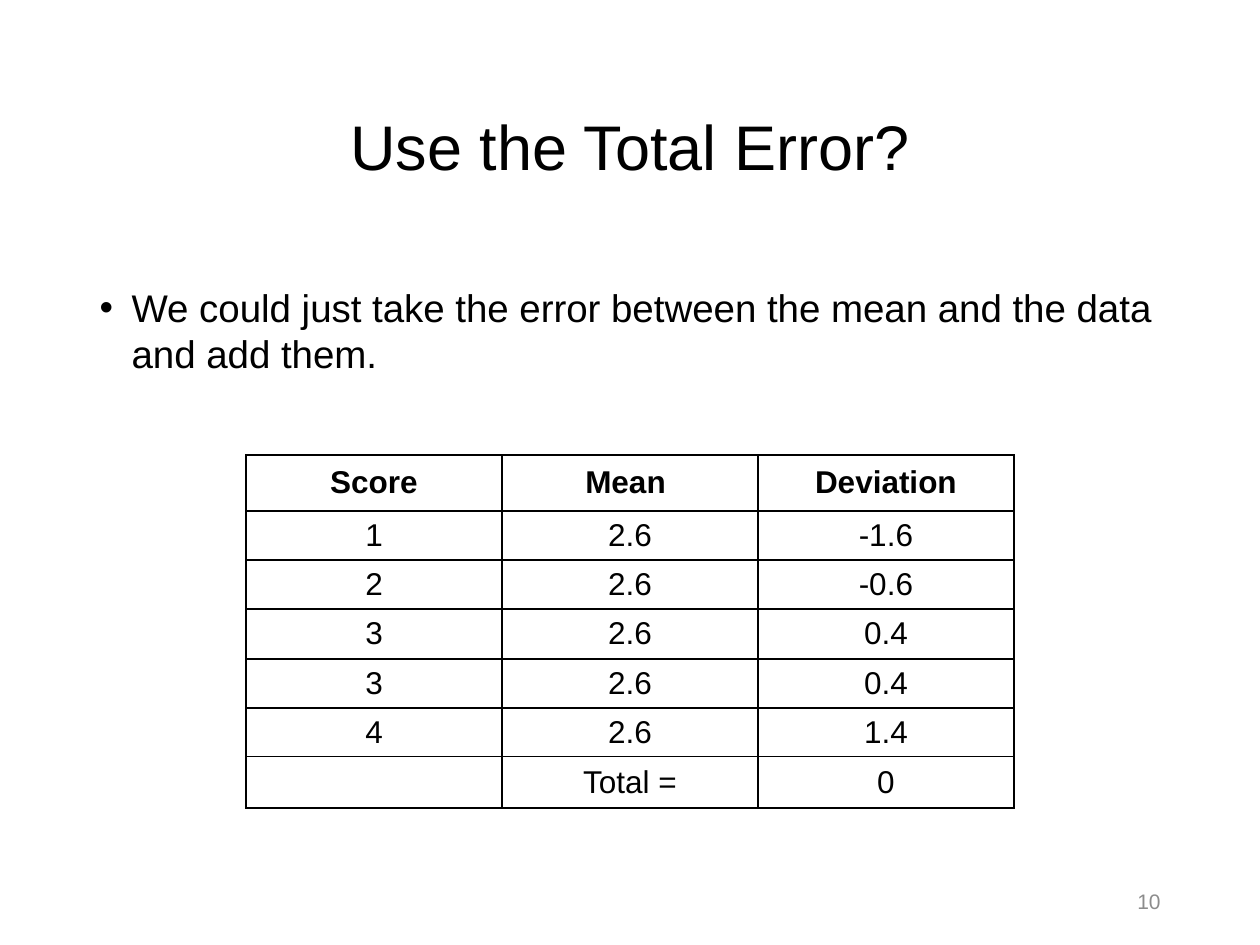
"""Build the slide "Use the Total Error?" with its table of deviations."""
from lxml.etree import SubElement
from pptx import Presentation
from pptx.dml.color import RGBColor
from pptx.enum.text import MSO_ANCHOR as Anchor, MSO_AUTO_SIZE as AutoSize, PP_ALIGN as Align
from pptx.oxml.ns import qn
from pptx.util import Pt

PX = 914400 // 126
COLORS = {"ink": "000000", "muted": "8C8C8C"}


def place(box, left, top, width, height):
    box.left, box.top, box.width, box.height = (n * PX for n in (left, top, width, height))


def style(paragraph, size, align, color="ink", bold=False):
    paragraph.alignment = align
    for run in paragraph.runs:
        run.font.name = "Arial"
        run.font.size = Pt(size)
        run.font.bold = bold
        run.font.color.rgb = RGBColor.from_string(COLORS[color])


deck = Presentation()
deck.slide_width, deck.slide_height = 1260 * PX, 945 * PX
slide = deck.slides.add_slide(deck.slide_layouts[1])

title = slide.shapes.title
place(title, 87, 59, 1086, 183)
title.text_frame.text = "Use the Total Error?"
title.text_frame.auto_size = AutoSize.NONE
title.text_frame.vertical_anchor = Anchor.MIDDLE
heading = title.text_frame.paragraphs[0]
heading.line_spacing = 0.9
style(heading, 36, Align.CENTER)

body = slide.placeholders[1]
place(body, 87, 278, 1086, 572)
body.text_frame.text = "We could just take the error between the mean and the data and add them."
body.text_frame.auto_size = AutoSize.NONE
idea = body.text_frame.paragraphs[0]
idea.space_before = Pt(0)
indents = idea._p.get_or_add_pPr()
indents.set("marL", str(32 * PX))
indents.set("indent", str(-32 * PX))
SubElement(indents, qn("a:buFont"), typeface="Arial")
SubElement(indents, qn("a:buChar"), char="•")
style(idea, 22, Align.LEFT)

MEAN = "2.6"
deviations = [("1", "-1.6"), ("2", "-0.6"), ("3", "0.4"), ("3", "0.4"), ("4", "1.4")]
rows = [("Score", "Mean ", "Deviation")]
rows += [(score, MEAN, deviation) for score, deviation in deviations]
rows.append(("", "Total =", "0"))

HEADER_HEIGHT, DATA_HEIGHT, COLUMN_WIDTH = 56, 296, 256
data_rows = len(rows) - 1
edges = [0] + [HEADER_HEIGHT + DATA_HEIGHT * i // data_rows for i in range(len(rows))]
scores = slide.shapes.add_table(
    len(rows), 3, 246 * PX, 455 * PX, 3 * COLUMN_WIDTH * PX, edges[-1] * PX).table
scores.first_row = scores.horz_banding = False
for column in scores.columns:
    column.width = COLUMN_WIDTH * PX

for r, values in enumerate(rows):
    scores.rows[r].height = (edges[r + 1] - edges[r]) * PX
    for c, value in enumerate(values):
        cell = scores.cell(r, c)
        cell.text_frame.text = value
        cell.vertical_anchor = Anchor.MIDDLE
        style(cell.text_frame.paragraphs[0], 18, Align.CENTER, bold=r == 0)
        borders = cell._tc.get_or_add_tcPr()
        for side in ("a:lnL", "a:lnR", "a:lnT", "a:lnB"):
            border = SubElement(borders, qn(side), w=str(Pt(1)))
            fill = SubElement(border, qn("a:solidFill"))
            SubElement(fill, qn("a:srgbClr"), val=COLORS["ink"])
        cell.fill.background()

page_number = slide.shapes.add_textbox(890 * PX, 876 * PX, 283 * PX, 50 * PX).text_frame
page_number.word_wrap = True
page_number.vertical_anchor = Anchor.MIDDLE
page_number.text = "10"
style(page_number.paragraphs[0], 12, Align.RIGHT, "muted")

deck.save("out.pptx")
